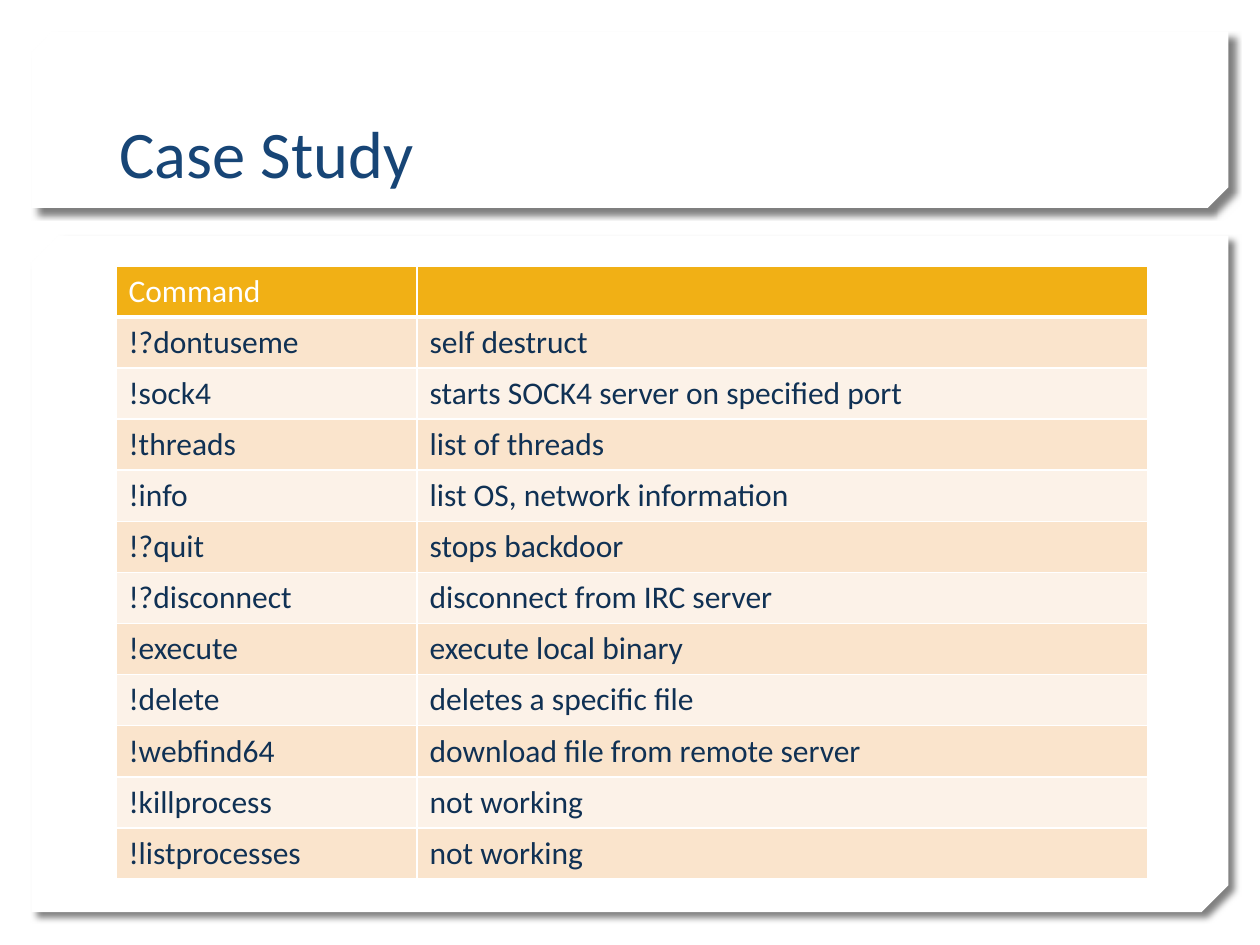
from dataclasses import dataclass

from lxml.etree import SubElement
from pptx import Presentation
from pptx.dml.color import RGBColor
from pptx.enum.shapes import MSO_SHAPE as Preset
from pptx.enum.text import MSO_ANCHOR as Anchor
from pptx.oxml.ns import qn
from pptx.util import Inches, Pt

COLORS = {
    "white": "FFFFFF", "shadow": "000000", "title": "174576",
    "header": "F1B015", "text": "103154", "odd": "FAE4CC", "even": "FCF2E8",
}
FONT = "Calibri"
COLUMN_WIDTHS = (2.39, 5.8)
ROW_HEIGHT = 4.87 / 12


@dataclass(frozen=True)
class Panel:
    top: float
    height: float
    snip: float


@dataclass(frozen=True)
class Command:
    name: str
    effect: str


PANELS = [Panel(1.87, 5.37, 0.04), Panel(0.25, 1.4, 0.117)]
COMMANDS = [
    Command("Command", ""),
    Command("!?dontuseme", "self destruct"),
    Command("!sock4", "starts SOCK4 server on specified port"),
    Command("!threads", "list of threads"),
    Command("!info", "list OS, network information"),
    Command("!?quit", "stops backdoor"),
    Command("!?disconnect", "disconnect from IRC server"),
    Command("!execute", "execute local binary"),
    Command("!delete", "deletes a specific file"),
    Command("!webfind64", "download file from remote server"),
    Command("!killprocess", "not working"),
    Command("!listprocesses", "not working"),
]


def rgb(color: str) -> RGBColor:
    return RGBColor.from_string(COLORS[color])


def style(paragraph, size: float, color: str) -> None:
    font = paragraph.font
    font.name, font.size, font.bold = FONT, Pt(size), False
    font.color.rgb = rgb(color)


def add_shadow(panel) -> None:
    effects = panel._element.spPr.find(qn("a:effectLst"))
    shadow = SubElement(effects, qn("a:outerShdw"), blurRad=str(Pt(4)),
                        dist=str(Pt(5)), dir=str(45 * 60000),
                        algn="tl", rotWithShape="0")
    tint = SubElement(shadow, qn("a:srgbClr"), val=COLORS["shadow"])
    SubElement(tint, qn("a:alpha"), val="50000")


def draw_panel(slide, panel: Panel) -> None:
    card = slide.shapes.add_shape(Preset.SNIP_2_DIAG_RECTANGLE, Inches(0.25), Inches(panel.top),
                                  Inches(9.5), Inches(panel.height))
    card.adjustments[0], card.adjustments[1] = 0, panel.snip
    card._element.spPr.xfrm.set("flipV", "1")
    card.fill.solid()
    card.fill.fore_color.rgb = rgb("white")
    card.line.fill.background()
    card.shadow.inherit = False
    add_shadow(card)


def draw_title(slide, title: str) -> None:
    heading = slide.shapes.add_textbox(Inches(0.85), Inches(0.32), Inches(8.29), Inches(1.25))
    frame = heading.text_frame
    frame.word_wrap, frame.vertical_anchor = True, Anchor.BOTTOM
    frame.text = title
    style(frame.paragraphs[0], 38, "title")


def add_borders(cell, bottom: float) -> None:
    properties = cell._tc.get_or_add_tcPr()
    for side, width in zip("LRTB", (1, 1, 1, bottom)):
        line = SubElement(properties, qn(f"a:ln{side}"), w=str(Pt(width)))
        fill = SubElement(line, qn("a:solidFill"))
        SubElement(fill, qn("a:srgbClr"), val=COLORS["white"])


def draw_commands(slide, commands: list[Command]) -> None:
    table = slide.shapes.add_table(
        len(commands), len(COLUMN_WIDTHS), Inches(0.92), Inches(2.11),
        Inches(sum(COLUMN_WIDTHS)), Inches(ROW_HEIGHT * len(commands))).table
    for column, width in zip(table.columns, COLUMN_WIDTHS):
        column.width = Inches(width)
    for index, (row, command) in enumerate(zip(table.rows, commands)):
        is_header = index == 0
        band = "header" if is_header else "odd" if index % 2 else "even"
        for cell, words in zip(row.cells, (command.name, command.effect)):
            cell.text = words
            style(cell.text_frame.paragraphs[0], 18, "white" if is_header else "text")
            add_borders(cell, bottom=3 if is_header else 1)
            cell.fill.solid()
            cell.fill.fore_color.rgb = rgb(band)


def main() -> None:
    deck = Presentation()
    deck.slide_width, deck.slide_height = Inches(10), Inches(7.5)
    slide = deck.slides.add_slide(deck.slide_layouts[6])

    # Shadowed cards behind the title and the table
    for panel in PANELS:
        draw_panel(slide, panel)

    # Content
    draw_title(slide, "Case Study")
    draw_commands(slide, COMMANDS)
    deck.save("out.pptx")


if __name__ == "__main__":
    main()
